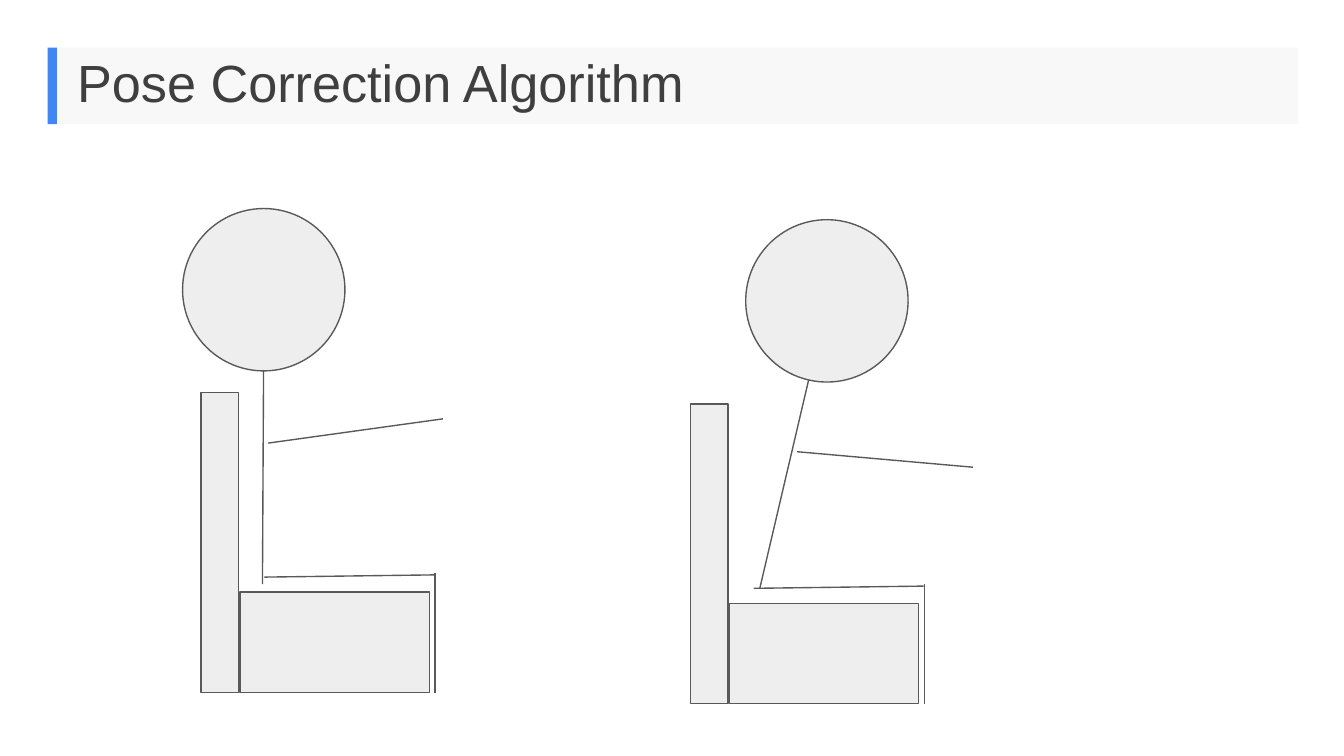
from lxml.etree import SubElement
from pptx import Presentation
from pptx.dml.color import RGBColor
from pptx.enum.shapes import MSO_CONNECTOR as Conn, MSO_SHAPE as Kind
from pptx.enum.text import MSO_ANCHOR as Anchor, MSO_AUTO_SIZE as Fit, PP_ALIGN as Align
from pptx.oxml.ns import qn
from pptx.util import Pt

BLUE = RGBColor(0x42, 0x85, 0xF4)
PALE = RGBColor(0xF2, 0xF2, 0xF2)
GREY = RGBColor(0xEE, 0xEE, 0xEE)
DARK = RGBColor(0x59, 0x59, 0x59)
INK = RGBColor(0x3F, 0x3F, 0x3F)


class Deck:
    """Holds the drawing style and the current slide."""

    def __init__(self, wide, high):
        self.deck = Presentation()
        self.deck.slide_width, self.deck.slide_height = Pt(wide), Pt(high)
        self.slide = self.deck.slides.add_slide(self.deck.slide_layouts[5])
        self.font = "Arial"
        self.thin = Pt(0.75)

    def title(self, text, x, y, w, h):
        box = self.slide.shapes.title
        box.left, box.top, box.width, box.height = Pt(x), Pt(y), Pt(w), Pt(h)
        box.fill.solid()
        box.fill.fore_color.rgb = PALE
        tint = box.fill._xPr.find(qn("a:solidFill"))[0]
        SubElement(tint, qn("a:alpha"), val="50000")
        frame = box.text_frame
        frame.word_wrap = True
        frame.auto_size = Fit.NONE
        frame.vertical_anchor = Anchor.MIDDLE
        frame.margin_left = Pt(10.8)
        frame.margin_top = frame.margin_right = frame.margin_bottom = 0
        para = frame.paragraphs[0]
        para.alignment = Align.LEFT
        para.line_spacing = 0.9
        run = para.add_run()
        run.text = text
        run.font.name, run.font.size = self.font, Pt(28)
        run.font.color.rgb = INK

    def shape(self, kind, x, y, w, h, fill=GREY, line=DARK, turn=0):
        item = self.slide.shapes.add_shape(kind, Pt(x), Pt(y), Pt(w), Pt(h))
        item.shadow.inherit = False
        item.rotation = turn
        item.fill.solid()
        item.fill.fore_color.rgb = fill
        if line is None:
            item.line.fill.background()
        else:
            item.line.color.rgb = line
            item.line.width = self.thin

    def line(self, x1, y1, x2, y2):
        item = self.slide.shapes.add_connector(
            Conn.STRAIGHT, Pt(x1), Pt(y1), Pt(x2), Pt(y2))
        item.line.color.rgb = DARK
        item.line.width = self.thin
        SubElement(item._element.spPr, qn("a:effectLst"))

    def pose(self, x, y, head, spine, arm, turn=0):
        self.shape(Kind.OVAL, *head, 87, 87, turn=turn)
        self.line(*spine)
        self.line(*arm)
        self.line(x + 34, y + 98.8, x + 125, y + 97.6)
        self.line(x + 125.5, y + 96.6, x + 125.5, y + 160.6)
        self.shape(Kind.RECTANGLE, x, y, 20.2, 160.6)
        self.shape(Kind.RECTANGLE, x + 20.9, y + 106.8, 101.5, 53.8)

    def save(self):
        self.deck.save("out.pptx")


def main():
    deck = Deck(720, 405)
    deck.shape(Kind.RECTANGLE, 25.5, 25.5, 5, 41, fill=BLUE, line=None)
    deck.title("Pose Correction Algorithm", 30.5, 25.5, 664.8, 41)
    deck.pose(107.6, 210.4, head=(97.8, 111.7),
              spine=(141.2, 198.7, 140.6, 313), arm=(143.7, 237.4, 237.3, 224.4))
    deck.pose(369.8, 216.4, head=(399.5, 117.7), turn=13,
              spine=(433.2, 203.6, 407.1, 315), arm=(427, 242, 521.2, 250.3))
    deck.save()


if __name__ == "__main__":
    main()
